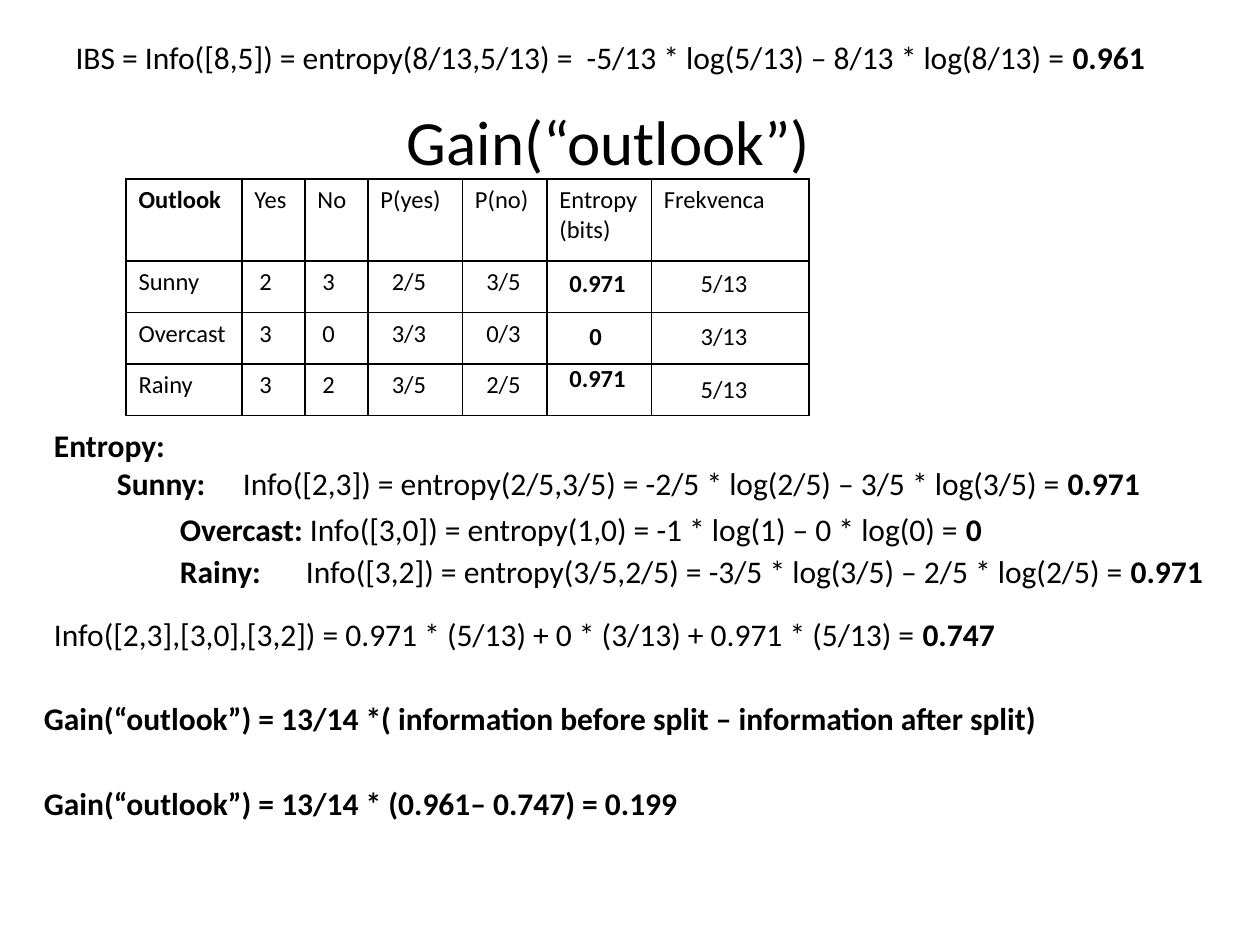
import dataclasses

import pptx
import pptx.dml.color
import pptx.enum.text
import pptx.oxml
import pptx.oxml.ns
import pptx.util

Inches = pptx.util.Inches
Pt = pptx.util.Pt


@dataclasses.dataclass(frozen=True)
class Theme:
    font: str = "Calibri"
    ink: str = "000000"
    title: int = 36
    body: int = 18
    cell: int = 14
    line: int = 1


THEME = Theme()
PAD = 0.1

COLS = [0.92, 0.5, 0.5, 0.75, 0.67, 0.83, 1.25]
ROWS = [0.65, 0.41, 0.41, 0.41]
SHIFT = [0, 0.04, 0.04, 0.09, 0.09, 0, 0]  # extra left margin of the counts
GRID = [
    ["Outlook", "Yes", "No", "P(yes)", "P(no)", "Entropy\v(bits)", "Frekvenca"],
    ["Sunny", "2", "3", "2/5", "3/5"],
    ["Overcast", "3", "0", "3/3", "0/3"],
    ["Rainy", "3", "2", "3/5", "2/5"],
]

# Left, top, width, height, text, bold, left margin
VALUES = [
    (4.42, 2.08, 0.65, 0.64, "0.971", True, PAD),
    (4.58, 2.5, 0.3, 0.64, "0", True, PAD),
    (4.42, 2.83, 0.65, 0.64, "0.971", True, PAD),
    (5.42, 2.08, 0.62, 0.64, "5/13", False, 0.14),
    (5.42, 2.5, 0.62, 0.64, "3/13", False, 0.14),
    (5.42, 2.92, 0.62, 0.64, "5/13", False, 0.14),
]

# Left, top, width, height, left margin, paragraphs of (text, bold) runs
LINES = [
    (0, 0.25, 10, 0.4, 0.6, [
        [("IBS = Info([8,5]) = entropy(8/13,5/13) =  -5/13 * log(5/13)"
          " – 8/13 * log(8/13) = ", False), ("0.961", True)]]),
    (0.33, 3.33, 9.43, 1.01, PAD, [
        [("Entropy:", True)],
        [("\tSunny:\t", True),
         ("Info([2,3]) = entropy(2/5,3/5) = -2/5 * log(2/5)"
          " – 3/5 * log(3/5) = ", False), ("0.971", True)]]),
    (1.33, 4, 6.64, 0.71, PAD, [
        [("Overcast: ", True),
         ("Info([3,0]) = entropy(1,0) = -1 * log(1) – 0 * log(0) = ", False),
         ("0", True)]]),
    (1.33, 4.33, 8.42, 0.71, PAD, [
        [("Rainy:\t", True),
         ("Info([3,2]) = entropy(3/5,2/5) = -3/5 * log(3/5)"
          " – 2/5 * log(2/5) = ", False), ("0.971", True)]]),
    (0.33, 4.83, 7.76, 0.71, PAD, [
        [("Info([2,3],[3,0],[3,2]) = 0.971 * (5/13) + 0 * (3/13)"
          " + 0.971 * (5/13) = ", False), ("0.747", True)]]),
    (0.25, 5.5, 8.34, 0.71, PAD, [
        [("Gain(“outlook”) = 13/14 *( information before split"
          " – information after split)", True)]]),
    (0.25, 6.17, 5.29, 0.71, PAD, [
        [("Gain(“outlook”) = 13/14 * (0.961– 0.747) = 0.199", True)]]),
]


def style(run, size, bold=False):
    font = run.font
    font.name = THEME.font
    font.size = Pt(size)
    font.bold = bold
    font.color.rgb = pptx.dml.color.RGBColor.from_string(THEME.ink)


def add_title(slide, text):
    title = slide.shapes.title
    title.left, title.top = Inches(0.33), Inches(0.75)
    title.width, title.height = Inches(9), Inches(0.72)
    frame = title.text_frame
    frame.text = text
    frame.vertical_anchor = pptx.enum.text.MSO_ANCHOR.MIDDLE
    para = frame.paragraphs[0]
    para.alignment = pptx.enum.text.PP_ALIGN.CENTER
    style(para.runs[0], THEME.title)


def add_text(slide, place, paras, size, left=PAD, wrap=True):
    frame = slide.shapes.add_textbox(*map(Inches, place)).text_frame
    frame.word_wrap = wrap
    frame.margin_left = Inches(left)
    for i, parts in enumerate(paras):
        para = frame.add_paragraph() if i else frame.paragraphs[0]
        for text, bold in parts:
            run = para.add_run()
            run.text = text
            style(run, size, bold)


def add_border(cell):
    props = cell._tc.get_or_add_tcPr()
    space = pptx.oxml.ns.nsdecls("a")
    for i, side in enumerate("LRTB"):
        line = pptx.oxml.parse_xml(
            f'<a:ln{side} {space} w="{Pt(THEME.line)}"><a:solidFill>'
            f'<a:srgbClr val="{THEME.ink}"/></a:solidFill></a:ln{side}>')
        props.insert(i, line)


def add_table(slide):
    place = (1, 1.42, sum(COLS), sum(ROWS))
    table = slide.shapes.add_table(
        len(ROWS), len(COLS), *map(Inches, place)).table
    table.first_row = table.horz_banding = False
    for col, width in zip(table.columns, COLS):
        col.width = Inches(width)
    for row, height in zip(table.rows, ROWS):
        row.height = Inches(height)
    for cell in table.iter_cells():
        cell.fill.background()
        add_border(cell)
    for r, texts in enumerate(GRID):
        for c, text in enumerate(texts):
            cell = table.cell(r, c)
            para = cell.text_frame.paragraphs[0]
            para.text = text
            if r:
                cell.margin_left = Inches(PAD + SHIFT[c])
            for run in para.runs:
                style(run, THEME.cell, bold=(r == c == 0))


def main():
    deck = pptx.Presentation()
    deck.slide_width, deck.slide_height = Inches(10), Inches(7.5)
    slide = deck.slides.add_slide(deck.slide_layouts[5])

    # Title and frequency table
    add_title(slide, "Gain(“outlook”)")
    add_table(slide)

    # Entropy and frequency values over the last two columns
    for *place, text, bold, left in VALUES:
        add_text(slide, place, [[(text, bold)]], THEME.cell, left, wrap=False)

    # Formulas
    for *place, left, paras in LINES:
        add_text(slide, place, paras, THEME.body, left)

    deck.save("out.pptx")


if __name__ == "__main__":
    main()
